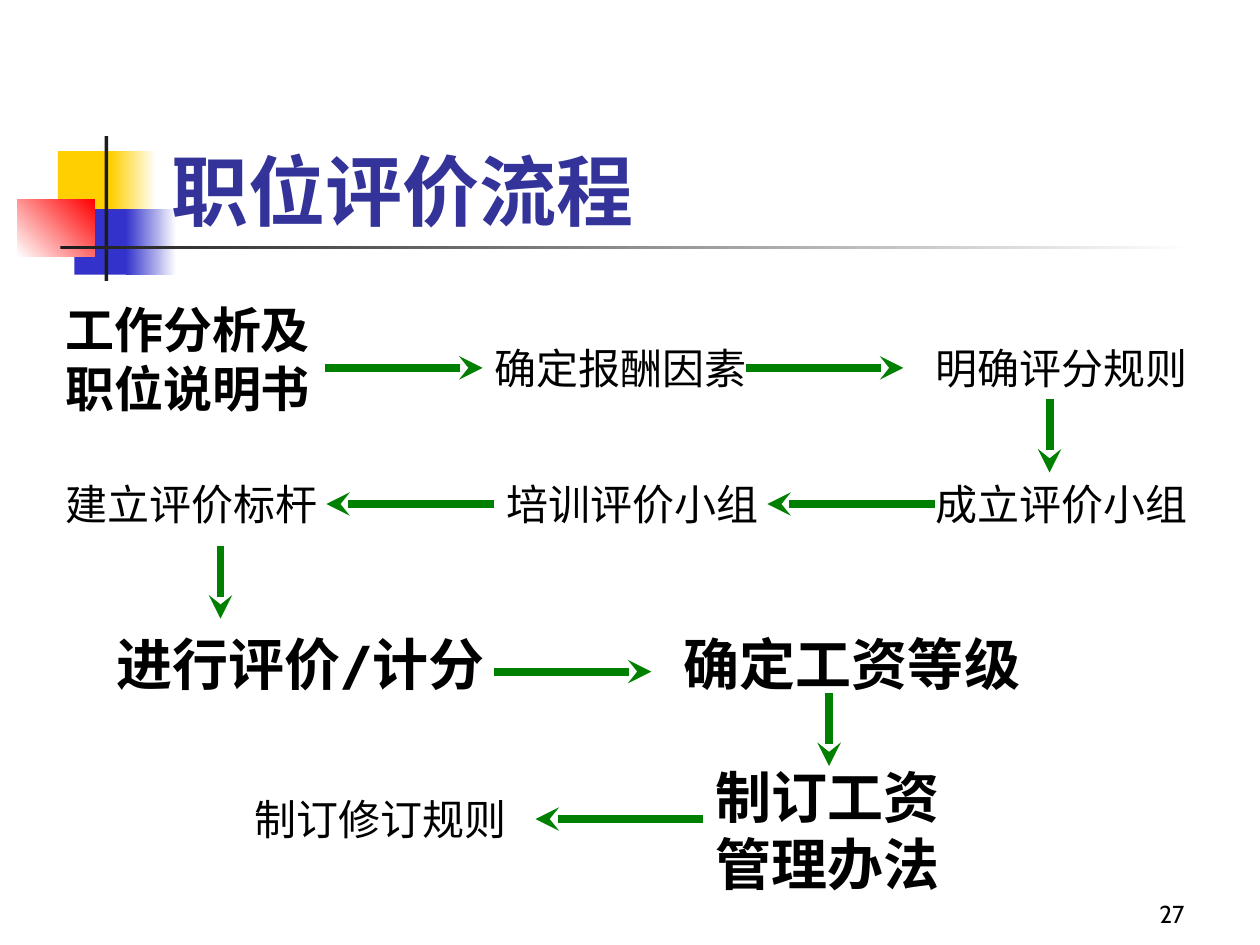
from lxml.etree import SubElement
from pptx import Presentation
from pptx.dml.color import RGBColor
from pptx.enum.shapes import MSO_CONNECTOR, MSO_SHAPE
from pptx.enum.text import MSO_ANCHOR, MSO_AUTO_SIZE, PP_ALIGN
from pptx.oxml.ns import qn
from pptx.util import Inches, Pt

FONT = "Cabin"
BLACK = RGBColor(0x00, 0x00, 0x00)
WHITE = RGBColor(0xFF, 0xFF, 0xFF)
YELLOW = RGBColor(0xFF, 0xCF, 0x01)
BLUE = RGBColor(0x33, 0x33, 0xCC)
RED = RGBColor(0xFF, 0x00, 0x00)
CHARCOAL = RGBColor(0x1C, 0x1C, 0x1C)
TITLE_BLUE = RGBColor(0x33, 0x33, 0x99)
GREEN = RGBColor(0x00, 0x80, 0x00)

TITLE = "职位评价流程"
PAGE_NUMBER = "27"

# left, top, width, height, colours (two make a gradient), gradient angle
ORNAMENTS = [
    (0.46, 1.2, 0.48, 0.52, [YELLOW], 0),
    (0.88, 1.2, 0.36, 0.52, [YELLOW, WHITE], 0),
    (0.59, 1.66, 0.46, 0.52, [BLUE], 0),
    (1, 1.66, 0.4, 0.52, [BLUE, WHITE], 0),
    (0.14, 1.58, 0.61, 0.46, [WHITE, RED], 45),
    (0.83, 1.08, 0.03, 1.15, [CHARCOAL], 0),
    (0.48, 1.95, 9, 0.03, [CHARCOAL, WHITE], 0),
]

# text, left, top, width, height, size, bold
STEPS = [
    ("工作分析及职位说明书", 0.42, 2.33, 2.17, 1.04, 28, True),
    ("确定报酬因素", 3.83, 2.67, 2.25, 0.5, 24, False),
    ("明确评分规则", 7.33, 2.67, 2.25, 0.5, 24, False),
    ("成立评价小组", 7.33, 3.75, 2.42, 0.5, 24, False),
    ("培训评价小组", 3.92, 3.75, 2.25, 0.5, 24, False),
    ("建立评价标杆", 0.42, 3.75, 2.25, 0.5, 24, False),
    ("进行评价/计分", 0.83, 4.95, 3.17, 1.17, 32, True),
    ("确定工资等级", 5.33, 4.95, 3.33, 0.64, 32, True),
    ("制订工资管理办法", 5.58, 6, 2, 1.17, 32, True),
    ("制订修订规则", 1.92, 6.25, 2.42, 0.5, 24, False),
]

# start x, start y, run across, run down, in the order of the steps
ARROWS = [
    (2.58, 2.92, 1.25, 0),
    (5.92, 2.92, 1.25, 0),
    (8.33, 3.17, 0, 0.58),
    (7.42, 4, -1.33, 0),
    (3.92, 4, -1.33, 0),
    (1.75, 4.33, 0, 0.58),
    (3.92, 5.33, 1.25, 0),
    (6.58, 5.5, 0, 0.58),
    (5.58, 6.5, -1.33, 0),
]


def place(shape, *bounds):
    shape.left, shape.top, shape.width, shape.height = map(Inches, bounds)


def write(shape, text, size, color=BLACK, bold=False,
          align=PP_ALIGN.LEFT, anchor=MSO_ANCHOR.TOP):
    frame = shape.text_frame
    frame.word_wrap = True
    frame.auto_size = MSO_AUTO_SIZE.NONE
    frame.vertical_anchor = anchor
    frame.text = text
    para = frame.paragraphs[0]
    para.alignment = align
    font = para.runs[0].font
    font.name, font.size, font.bold = FONT, Pt(size), bold
    font.color.rgb = color


def add_ornament(page, bounds, colors, angle):
    shape = page.shapes.add_shape(MSO_SHAPE.RECTANGLE, *map(Inches, bounds))
    shape.shadow.inherit = False
    shape.line.fill.background()
    if len(colors) == 1:
        shape.fill.solid()
        shape.fill.fore_color.rgb = colors[0]
        return
    shape.fill.gradient()
    shape.fill.gradient_angle = angle
    for stop, color in zip(shape.fill.gradient_stops, colors):
        stop.color.rgb = color


def add_arrow(page, x, y, across, down):
    ends = map(Inches, (x, y, x + across, y + down))
    arrow = page.shapes.add_connector(MSO_CONNECTOR.STRAIGHT, *ends)
    arrow.line.color.rgb = GREEN
    arrow.line.width = Pt(4.5)
    properties = arrow.element.spPr
    SubElement(properties.find(qn("a:ln")), qn("a:tailEnd"), type="stealth")
    SubElement(properties, qn("a:effectLst"))


def main():
    deck = Presentation()
    deck.slide_width, deck.slide_height = Inches(10), Inches(7.5)
    page = deck.slides.add_slide(deck.slide_layouts[5])

    for *bounds, colors, angle in ORNAMENTS:
        add_ornament(page, bounds, colors, angle)

    title = page.shapes.title
    title.element.getparent().append(title.element)  # in front of the ornaments
    place(title, 1.26, 0.67, 8.52, 1.25)
    write(title, TITLE, 44, TITLE_BLUE, True, anchor=MSO_ANCHOR.BOTTOM)

    for text, *bounds, size, bold in STEPS:
        box = page.shapes.add_textbox(*map(Inches, bounds))
        write(box, text, size, bold=bold)

    for arrow in ARROWS:
        add_arrow(page, *arrow)

    number = page.shapes.add_textbox(*map(Inches, (7.42, 6.92, 2.08, 0.5)))
    write(number, PAGE_NUMBER, 14, align=PP_ALIGN.RIGHT, anchor=MSO_ANCHOR.BOTTOM)

    deck.save("out.pptx")


if __name__ == "__main__":
    main()
